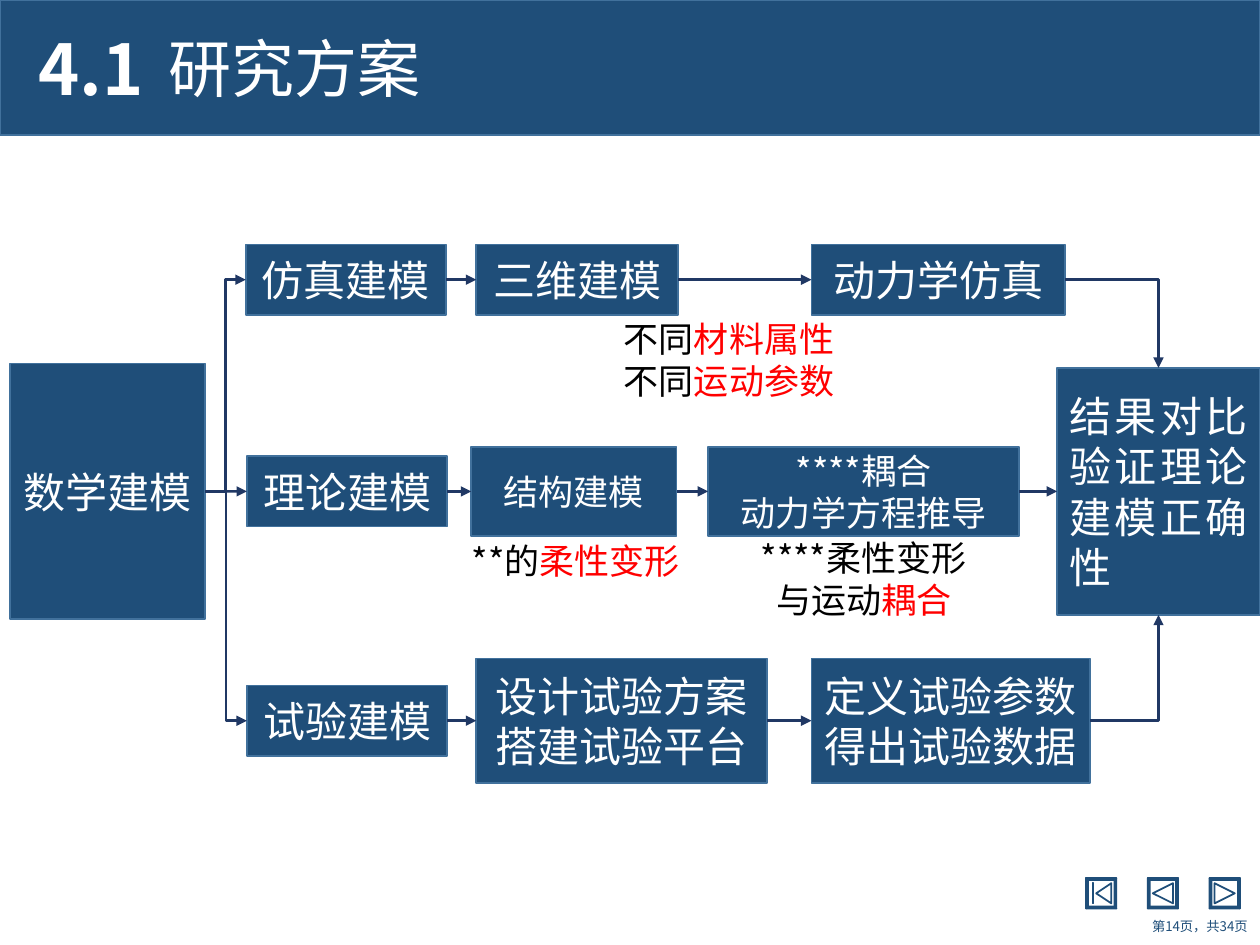
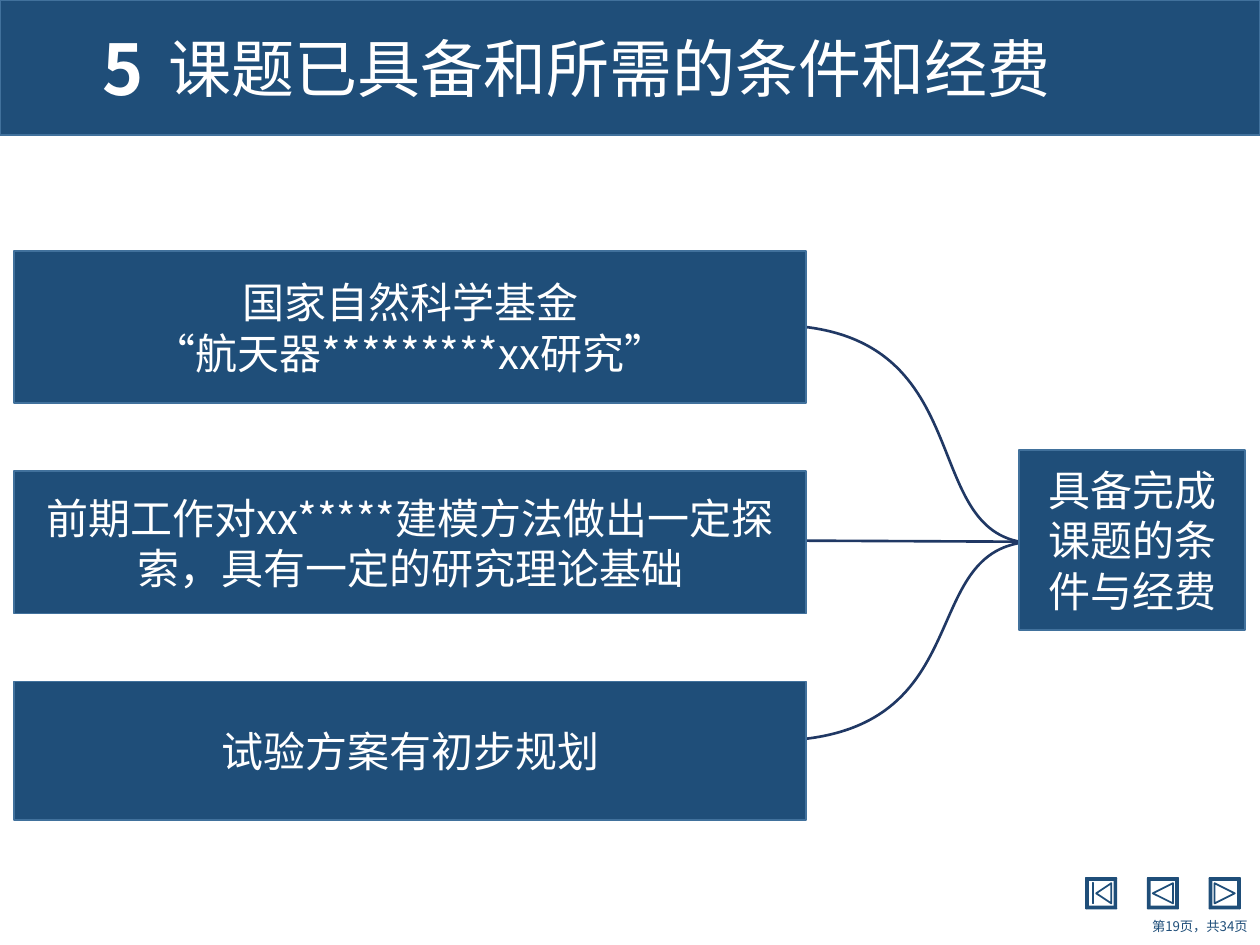
"""Builds two proposal slides: the research plan flow and the conditions and funding summary."""
from lxml import etree
from pptx import Presentation
from pptx.dml.color import RGBColor
from pptx.enum.shapes import MSO_CONNECTOR, MSO_SHAPE
from pptx.enum.text import MSO_ANCHOR, MSO_AUTO_SIZE, PP_ALIGN
from pptx.oxml.ns import qn
from pptx.util import Inches, Pt

RECTANGLE = MSO_SHAPE.RECTANGLE
STRAIGHT, ELBOW = MSO_CONNECTOR.STRAIGHT, MSO_CONNECTOR.ELBOW
MIDDLE, TOP = MSO_ANCHOR.MIDDLE, MSO_ANCHOR.TOP
FIXED, GROW = MSO_AUTO_SIZE.NONE, MSO_AUTO_SIZE.SHAPE_TO_FIT_TEXT
LEFT, CENTER, RIGHT, JUSTIFY = PP_ALIGN.LEFT, PP_ALIGN.CENTER, PP_ALIGN.RIGHT, PP_ALIGN.JUSTIFY

FONT = "Noto Sans CJK SC"
NAVY, EDGE, ARROW = "1F4E79", "41719C", "203864"
WHITE, BLACK, RED = "FFFFFF", "000000", "FF0000"
BAND_HEIGHT, NUMBER_WIDTH = 1.07, 1.24
SIDE_TOP, SIDE_LEFT, SIDE_BOTTOM, SIDE_RIGHT = range(4)

BUTTON_SIZE, BUTTON_BEVEL, BUTTON_TOP = 0.24, 0.015, 6.97
BUTTONS = [
    (8.62, [[(0.08, 0.12), (0.2, 0.04), (0.2, 0.2)],
            [(0.05, 0.04), (0.06, 0.04), (0.06, 0.2), (0.05, 0.2)]]),
    (9.11, [[(0.04, 0.12), (0.2, 0.04), (0.2, 0.2)]]),
    (9.6, [[(0.04, 0.04), (0.2, 0.12), (0.04, 0.2)]]),
]

ROW_CENTERS = {"simulation": 2.22, "theory": 3.9, "test": 5.72}
PLAN_BOXES = [
    ("model", "theory", 0.08, 1.55, 2.03, 24, CENTER, ["数学建模"]),
    ("theory", "theory", 1.96, 1.59, 0.56, 24, CENTER, ["理论建模"]),
    ("simulation", "simulation", 1.95, 1.59, 0.56, 24, CENTER, ["仿真建模"]),
    ("test", "test", 1.96, 1.59, 0.56, 24, CENTER, ["试验建模"]),
    ("structure", "theory", 3.74, 1.63, 0.71, 20, CENTER, ["结构建模"]),
    ("equations", "theory", 5.62, 2.47, 0.71, 20, CENTER, ["****耦合", "动力学方程推导"]),
    ("solid", "simulation", 3.78, 1.6, 0.56, 24, CENTER, ["三维建模"]),
    ("dynamics", "simulation", 6.44, 2.01, 0.56, 24, CENTER, ["动力学仿真"]),
    ("platform", "test", 3.78, 2.31, 0.99, 24, CENTER, ["设计试验方案", "搭建试验平台"]),
    ("data", "test", 6.44, 2.21, 0.99, 24, CENTER, ["定义试验参数得出试验数据"]),
    ("result", "theory", 8.39, 1.61, 1.96, 24, JUSTIFY, ["结果对比验证理论建模正确性"]),
]
PLAN_NOTES = [
    ((3.59, 4.23, 1.96, 0.44), CENTER, [[("**的", BLACK), ("柔性变形", RED)]]),
    ((5.86, 4.21, 1.99, 0.77), CENTER,
     [[("****柔性变形", BLACK)], [("与运动", BLACK), ("耦合", RED)]]),
    ((4.85, 2.47, 1.87, 0.77), RIGHT,
     [[("不同", BLACK), ("材料属性", RED)], [("不同", BLACK), ("运动参数", RED)]]),
]
STRAIGHT_LINKS = [
    ("simulation", "solid"), ("solid", "dynamics"), ("theory", "structure"),
    ("structure", "equations"), ("equations", "result"), ("test", "platform"),
    ("platform", "data"), ("model", "theory"),
]
BRANCH_LINKS = [("model", "simulation"), ("model", "test")]
CORNER_LINKS = [("dynamics", "result", SIDE_TOP), ("data", "result", SIDE_BOTTOM)]

CONDITION_BOXES = [
    ((0.11, 3.74, 6.29, 1.13), ["前期工作对xx*****建模方法做出一定探索，具有一定的研究理论基础"]),
    ((0.11, 5.41, 6.29, 1.1), ["试验方案有初步规划"]),
    ((0.11, 1.99, 6.29, 1.21), ["国家自然科学基金", "“航天器*********xx研究”"]),
    ((8.09, 3.57, 1.79, 1.43), ["具备完成课题的条件与经费"]),
]
CONDITION_CURVES = [
    [(6.13, 2.58), (7.84, 2.58), (7.21, 4.37), (8.28, 4.31)],
    [(6.11, 5.88), (7.83, 5.88), (7.2, 4.25), (8.28, 4.3)],
]
CONDITION_LINE = (6.13, 4.29, 8.27, 4.3)


def color(value):
    return RGBColor.from_string(value)


def inches(values):
    return [Inches(value) for value in values]


def write(shape, paragraphs, size, align, anchor=MIDDLE, bold=False, wrap=True, spacing=None):
    """Fill a shape with paragraphs, each a list of (text, colour) runs."""
    frame = shape.text_frame
    frame.word_wrap = wrap
    frame.auto_size = FIXED if wrap else GROW
    frame.vertical_anchor = anchor
    for index, runs in enumerate(paragraphs):
        paragraph = frame.add_paragraph() if index else frame.paragraphs[0]
        paragraph.alignment = align
        if spacing:
            paragraph.line_spacing = spacing
        for text, run_color in runs:
            run = paragraph.add_run()
            run.text = text
            run.font.name = FONT
            run.font.size = Pt(size)
            run.font.bold = bold
            run.font.color.rgb = color(run_color)
            properties = run._r.get_or_add_rPr()
            etree.SubElement(properties, qn("a:ea")).set("typeface", FONT)


def add_text(slide, box, paragraphs, size, align, **options):
    shape = slide.shapes.add_textbox(*inches(box))
    write(shape, paragraphs, size, align, **options)


def add_box(slide, box, lines=(), size=24, align=CENTER):
    shape = slide.shapes.add_shape(RECTANGLE, *inches(box))
    shape.shadow.inherit = False
    shape.fill.solid()
    shape.fill.fore_color.rgb = color(NAVY)
    shape.line.color.rgb = color(EDGE)
    shape.line.width = Pt(1)
    write(shape, [[(line, WHITE)] for line in lines], size, align)
    return shape


def style_arrow(shape):
    shape.line.color.rgb = color(ARROW)
    shape.line.width = Pt(1.5)
    line = shape.line._get_or_add_ln()
    etree.SubElement(line, qn("a:tailEnd")).set("type", "triangle")


def add_arrow(slide, kind, ends=(0, 0, 0, 0)):
    connector = slide.shapes.add_connector(kind, *inches(ends))
    style_arrow(connector)
    etree.SubElement(connector._element.spPr, qn("a:effectLst"))
    return connector


def link(slide, kind, source, target, side=SIDE_LEFT):
    connector = add_arrow(slide, kind)
    connector.begin_connect(source, SIDE_RIGHT)
    connector.end_connect(target, side)
    return connector


def add_outline(slide, contours, closed=True):
    """Draw unfilled contours given in inches as one freeform."""
    contours = [[tuple(inches(point)) for point in contour] for contour in contours]
    builder = slide.shapes.build_freeform(*contours[0][0])
    for index, contour in enumerate(contours):
        if index:
            builder.move_to(*contour[0])
        builder.add_line_segments(contour[1:], close=closed)
    shape = builder.convert_to_shape()
    shape.shadow.inherit = False
    shape.fill.background()
    return shape


def add_curve(slide, points):
    """Draw a cubic curve by merging its control segments into one."""
    shape = add_outline(slide, [points], closed=False)
    segments = list(shape._element.iter(qn("a:lnTo")))
    outline = segments[0].getparent()
    curve = etree.SubElement(outline, qn("a:cubicBezTo"))
    for segment in segments:
        curve.append(segment[0])
        outline.remove(segment)
    style_arrow(shape)


def square(inset):
    low, high = inset, BUTTON_SIZE - inset
    return [(low, low), (high, low), (high, high), (low, high)]


def add_buttons_to_layout(slide):
    """Build the navigation buttons and move them to the shared layout."""
    outer, inner = square(0), square(BUTTON_BEVEL)
    bevels = [[outer[i], outer[(i + 1) % 4], inner[(i + 1) % 4], inner[i]] for i in range(4)]
    for left, icon in BUTTONS:
        contours = [[(left + x, BUTTON_TOP + y) for x, y in contour]
                    for contour in [outer, *bevels, *icon]]
        button = add_outline(slide, contours)
        button.line.color.rgb = color(NAVY)
        button.line.width = Pt(1)
        slide.slide_layout.shapes._spTree.append(button._element)


def add_frame(slide, number, title, page):
    """Add the title band, section number, title and page label."""
    add_box(slide, (0, 0, 10, BAND_HEIGHT))
    add_text(slide, (0, 0, NUMBER_WIDTH, BAND_HEIGHT), [[(number, WHITE)]], 40, RIGHT, bold=True)
    heading = slide.shapes.title
    heading.left, heading.top, heading.width, heading.height = inches(
        (NUMBER_WIDTH, 0, 7.72, BAND_HEIGHT))
    write(heading, [[(title, WHITE)]], 36, LEFT)
    slide.shapes._spTree.append(heading._element)
    add_text(slide, (8.12, 7.23, 1.88, 0.27), [[(f"第{page}页，共34页", NAVY)]], 7.6, RIGHT,
             spacing=0.8)


def build_plan(slide):
    add_frame(slide, "4.1", "研究方案", 14)
    boxes = {}
    for name, row, left, width, height, size, align, lines in PLAN_BOXES:
        top = ROW_CENTERS[row] - height / 2
        boxes[name] = add_box(slide, (left, top, width, height), lines, size, align)
    for box, align, paragraphs in PLAN_NOTES:
        add_text(slide, box, paragraphs, 20, align, anchor=TOP, wrap=False)
    for kind, links in ((STRAIGHT, STRAIGHT_LINKS), (ELBOW, BRANCH_LINKS)):
        for source, target in links:
            link(slide, kind, boxes[source], boxes[target])
    for source, target, side in CORNER_LINKS:
        connector = link(slide, ELBOW, boxes[source], boxes[target], side)
        connector._element.spPr.find(qn("a:prstGeom")).set("prst", "bentConnector2")


def build_conditions(slide):
    for points in CONDITION_CURVES:
        add_curve(slide, points)
    add_arrow(slide, STRAIGHT, CONDITION_LINE)
    add_frame(slide, "5", "课题已具备和所需的条件和经费", 19)
    for box, lines in CONDITION_BOXES:
        add_box(slide, box, lines)


def main():
    presentation = Presentation()
    presentation.slide_width, presentation.slide_height = inches((10, 7.5))
    layout = presentation.slide_layouts[5]
    plan, conditions = (presentation.slides.add_slide(layout) for _ in range(2))
    add_buttons_to_layout(plan)
    build_plan(plan)
    build_conditions(conditions)
    presentation.save("out.pptx")


if __name__ == "__main__":
    main()
